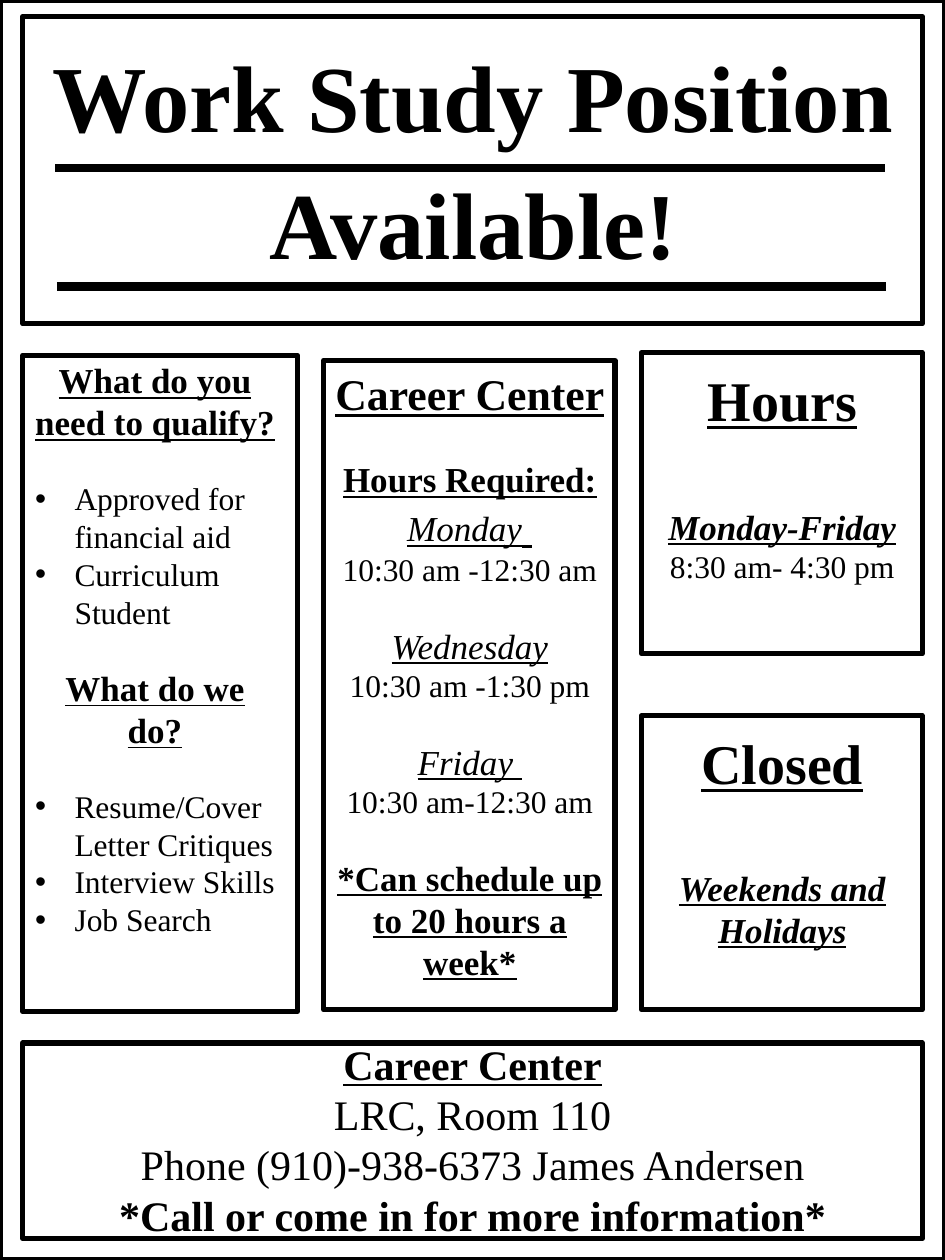
from dataclasses import dataclass

from lxml import etree
from pptx import Presentation
from pptx import util as u
from pptx.dml.color import RGBColor
from pptx.enum import shapes, text
from pptx.oxml import ns


@dataclass(frozen=True)
class Theme:
    """Colours, font, type sizes and line weights of the flyer."""
    ink: RGBColor = RGBColor(0, 0, 0)
    font: str = "Times New Roman"
    title: float = 54
    large: float = 32
    section: float = 25
    contact: float = 24
    heading: float = 20
    body: float = 18
    frame: float = 3
    rule: float = 4.75
    indent: float = 22.5


@dataclass(frozen=True)
class Line:
    """One paragraph: wording, size, style letters (b, i, u), gap above."""
    words: str
    size: float
    style: str = ""
    gap: float = 0
    bullet: bool = False
    tail: tuple = ()


class Flyer:
    """Holds the theme and the current page and draws elements on it."""

    def __init__(self, page, theme):
        """Keep the page and the theme."""
        self.page, self.theme = page, theme

    def frame(self, left, top, width, height):
        """Draw an unfilled, outlined rectangle."""
        box = self.page.shapes.add_shape(
            shapes.MSO_SHAPE.RECTANGLE, *map(u.Pt, (left, top, width, height)))
        box.shadow.inherit = False
        box.fill.background()
        box.line.color.rgb = self.theme.ink
        box.line.width = u.Pt(self.theme.frame)

    def rule(self, left, top, width):
        """Draw a heavy horizontal line."""
        line = self.page.shapes.add_connector(
            shapes.MSO_CONNECTOR.STRAIGHT,
            *map(u.Pt, (left, top, left + width, top)))
        line.line.color.rgb = self.theme.ink
        line.line.width = u.Pt(self.theme.rule)
        etree.SubElement(line._element.spPr, ns.qn("a:effectLst"))

    def span(self, span, size, style):
        """Format one run."""
        font = span.font
        font.name, font.size = self.theme.font, u.Pt(size)
        font.color.rgb = self.theme.ink
        font.bold, font.italic, font.underline = (
            letter in style for letter in "biu")

    def bullet(self, para):
        """Give a paragraph a hanging round bullet."""
        props = para._p.get_or_add_pPr()
        indent = u.Pt(self.theme.indent)
        props.set("marL", str(indent))
        props.set("indent", str(-indent))
        etree.SubElement(props, ns.qn("a:buFont"), typeface="Arial")
        etree.SubElement(props, ns.qn("a:buChar"), char="•")

    def words(self, left, top, width, height, lines):
        """Add a text box with one paragraph for each line."""
        box = self.page.shapes.add_textbox(
            *map(u.Pt, (left, top, width, height)))
        body = box.text_frame
        body.word_wrap = True
        body.auto_size = text.MSO_AUTO_SIZE.SHAPE_TO_FIT_TEXT
        body.text = "\n".join(line.words for line in lines)
        for para, line in zip(body.paragraphs, lines):
            para.space_before = u.Pt(line.gap)
            if line.bullet:
                self.bullet(para)
            else:
                para.alignment = text.PP_ALIGN.CENTER
            self.span(para.runs[0], line.size, line.style)
            if line.tail:
                wording, size, style = line.tail
                extra = para.add_run()
                extra.text = wording
                self.span(extra, size, style)


def main():
    """Build and save the flyer."""
    deck = Presentation()
    deck.slide_width, deck.slide_height = u.Pt(540), u.Pt(720)
    theme = Theme()
    flyer = Flyer(deck.slides.add_slide(deck.slide_layouts[6]), theme)
    head, body = theme.heading, theme.body
    gap = 20.7

    for area in ((0, 0, 540, 720), (13, 9.4, 514, 175.6),
                 (13, 203, 157, 375), (185, 206, 166.5, 371),
                 (366.5, 201.6, 160.5, 172), (366.5, 409, 160.5, 168),
                 (13, 596, 514, 111.6)):
        flyer.frame(*area)

    for top, wording in ((18, "Work Study Position"), (90.7, "Available!")):
        flyer.words(22.3, top, 496, 72.7, [Line(wording, theme.title, "b")])
    flyer.rule(31.5, 96.2, 474)
    flyer.rule(32.5, 163.7, 474)

    flyer.words(13, 201.6, 151.2, 366, [
        Line("What do you need to qualify?", head, "bu"),
        Line("Approved for financial aid", body, gap=gap, bullet=True),
        Line("Curriculum Student", body, bullet=True),
        Line("What do we do?", head, "bu", gap),
        Line("Resume/Cover Letter Critiques", body, gap=gap, bullet=True),
        Line("Interview Skills", body, bullet=True),
        Line("Job Search", body, bullet=True)])

    flyer.words(177.8, 206, 181.4, 372, [
        Line("Career Center", theme.section, "bu"),
        Line("Hours Required:", head, "bu", 22),
        Line("Monday", head, "iu", tail=(" ", theme.contact, "biu")),
        Line("10:30 am -12:30 am", body),
        Line("Wednesday", head, "iu", gap),
        Line("10:30 am -1:30 pm", body),
        Line("Friday", head, "iu", gap, tail=(" ", head, "biu")),
        Line("10:30 am-12:30 am", body),
        Line("*Can schedule up to 20 hours a week*", head, "bu", gap)])

    flyer.words(370, 205.2, 154, 351.4, [
        Line("Hours", theme.large, "bu"),
        Line("Monday-Friday", head, "biu", 41.4),
        Line("8:30 am- 4:30 pm", body),
        Line("Closed", theme.large, "bu", 82),
        Line("Weekends and Holidays", head, "biu", 40.3)])

    flyer.words(13, 589.7, 514, 123.8, [
        Line("Career Center", theme.contact, "bu"),
        Line("LRC, Room 110", theme.contact),
        Line("Phone (910)-938-6373 James Andersen", theme.contact),
        Line("*Call or come in for more information*", theme.contact, "b")])

    deck.save("out.pptx")


main()
